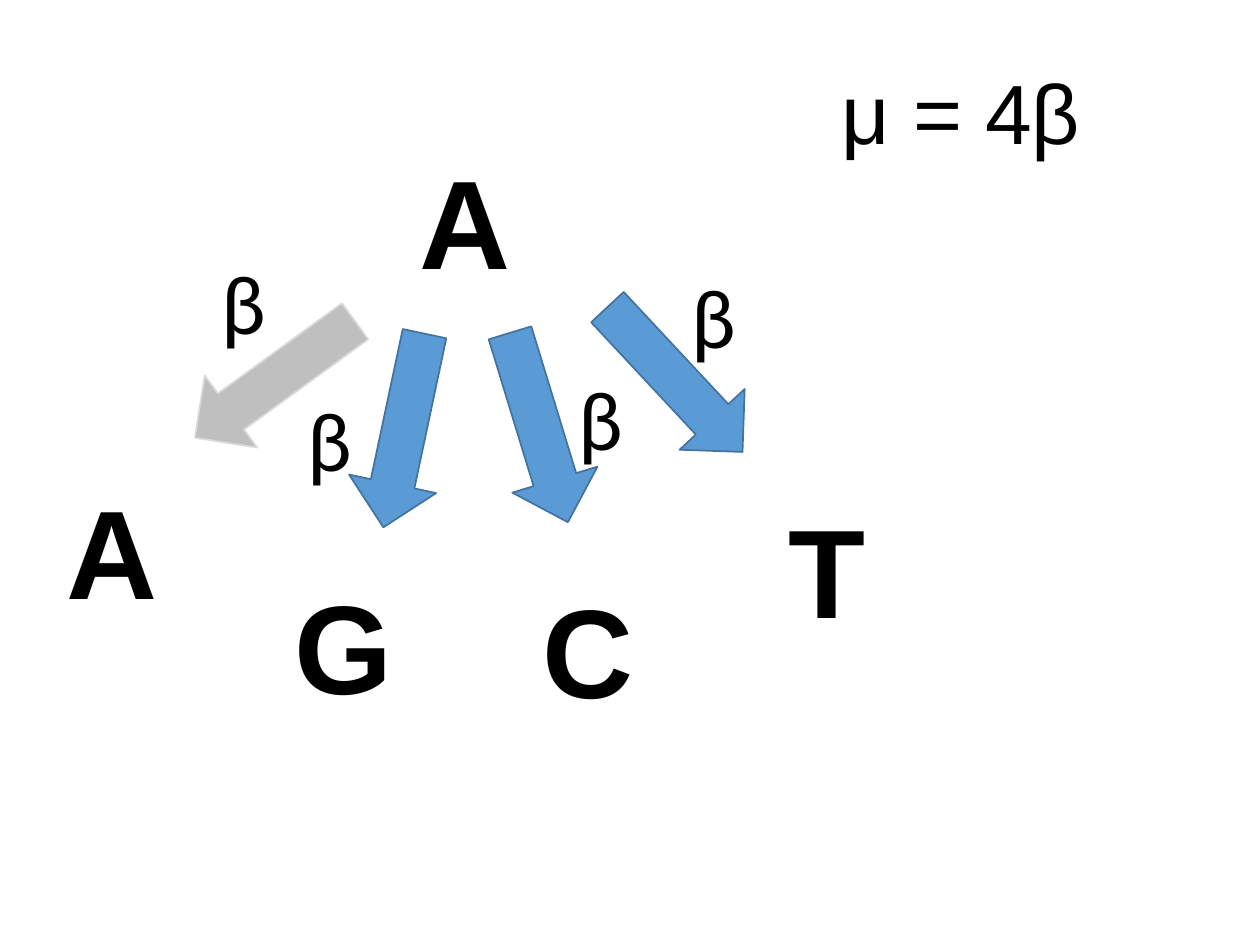
import pptx
import pptx.dml.color
import pptx.enum.shapes
import pptx.enum.text
import pptx.util

PX = pptx.util.Inches(1) / 126

# text, left, top
BASES = [("A", 407, 137), ("T", 776, 486), ("C", 530, 566), ("G", 282, 562), ("A", 54, 467)]
BASE_SIZE = (268, 164)

UNCHANGED = ("BFBFBF", "D9D9D9")
MUTATED = ("5B9BD5", "43739E")
# left, top, rotation, (fill, line)
ARROWS = [
    (176, 335, 324, UNCHANGED),
    (305, 386, 282, MUTATED),
    (440, 383, 253, MUTATED),
    (576, 335, 227, MUTATED),
]
ARROW_SIZE = (198, 89)

RATES = [(209, 244), (295, 381), (566, 360), (679, 258)]
RATE_SIZE = (73, 113)
FORMULA = ("μ = 4β", 829, 54, 265, 113)


def emu(*lengths):
    return [round(length * PX) for length in lengths]


def rgb(color):
    return pptx.dml.color.RGBColor.from_string(color)


def add_text(slide, text, left, top, width, height, size, font, bold=False, wrap=False):
    frame = slide.shapes.add_textbox(*emu(left, top, width, height)).text_frame
    frame.text = text
    frame.word_wrap = wrap
    frame.auto_size = pptx.enum.text.MSO_AUTO_SIZE.SHAPE_TO_FIT_TEXT
    run = frame.paragraphs[0].runs[0]
    run.font.size = pptx.util.Pt(size)
    run.font.name = font
    run.font.bold = bold
    run.font.color.rgb = rgb("000000")


def add_arrow(slide, left, top, rotation, colors):
    arrow = slide.shapes.add_shape(
        pptx.enum.shapes.MSO_SHAPE.LEFT_ARROW, *emu(left, top, *ARROW_SIZE))
    fill, line = colors
    arrow.rotation = rotation
    arrow.shadow.inherit = False
    arrow.fill.solid()
    arrow.fill.fore_color.rgb = rgb(fill)
    arrow.line.color.rgb = rgb(line)
    arrow.line.width = pptx.util.Pt(1)


def main():
    deck = pptx.Presentation()
    deck.slide_width, deck.slide_height = emu(1260, 945)
    slide = deck.slides.add_slide(deck.slide_layouts[6])

    for base, left, top in BASES:
        add_text(slide, base, left, top, *BASE_SIZE, 72, "Arial", bold=True, wrap=True)
    for arrow in ARROWS:
        add_arrow(slide, *arrow)
    for left, top in RATES:
        add_text(slide, "β", left, top, *RATE_SIZE, 48, "Calibri")
    add_text(slide, *FORMULA, 48, "Arial")

    deck.save("out.pptx")


if __name__ == "__main__":
    main()
